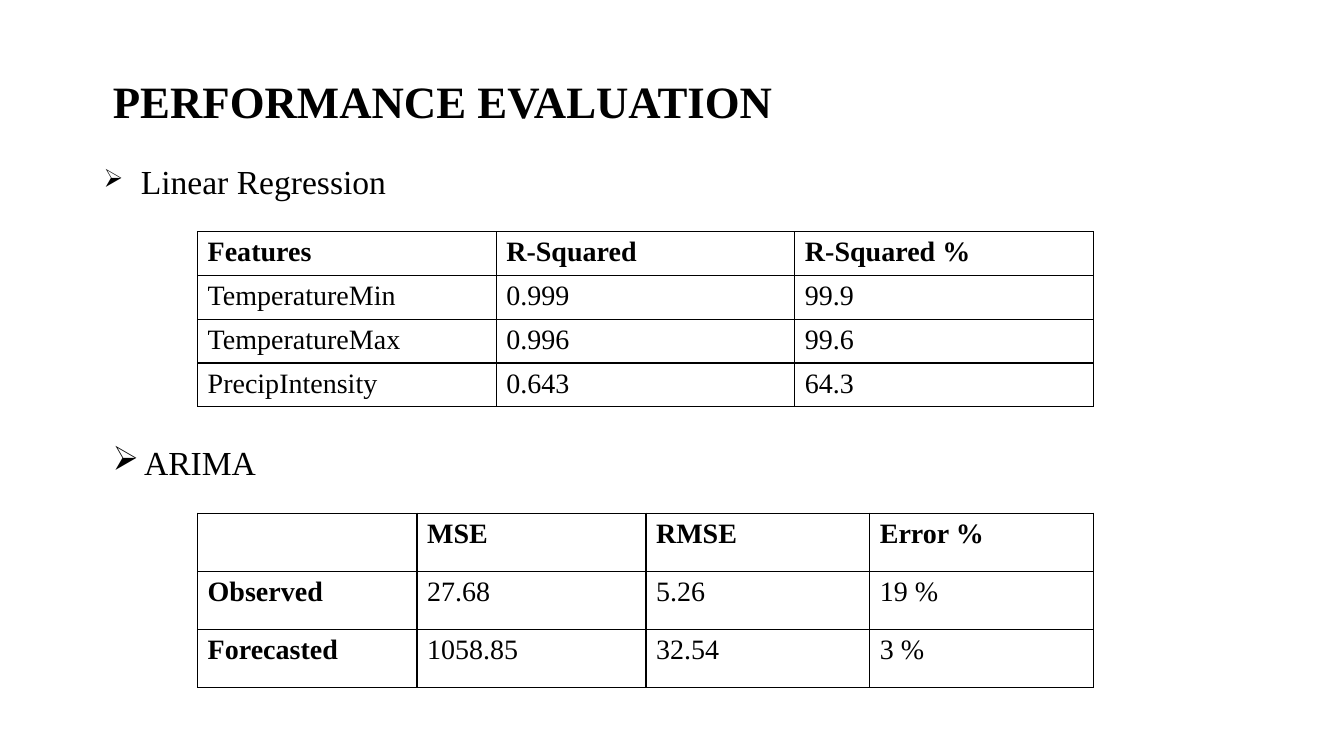
from lxml.etree import SubElement
from pptx import Presentation
from pptx.dml.color import RGBColor
from pptx.enum.text import MSO_ANCHOR, MSO_AUTO_SIZE, PP_ALIGN
from pptx.oxml.ns import qn
from pptx.util import Cm, Pt

INK = "000000"
FACE = "Times New Roman"
TABLE_LEFT, TABLE_WIDTH, TABLE_HEIGHT = 4.98, 22.58, 4.4

REGRESSION = [
    ["Features", "R-Squared", "R-Squared %"],
    ["TemperatureMin", "0.999", "99.9"],
    ["TemperatureMax", "0.996", "99.6"],
    ["PrecipIntensity", "0.643", "64.3"],
]
ARIMA = [
    ["", "MSE", "RMSE", "Error %"],
    ["Observed", "27.68", "5.26", "19 %"],
    ["Forecasted", "1058.85", "32.54", "3 %"],
]


def color(value):
    return RGBColor.from_string(value)


def apply(target, values):
    for name, value in values.items():
        setattr(target, name, value)


def place(shape, box):
    names = ("left", "top", "width", "height")
    apply(shape, dict(zip(names, map(Cm, box))))


def write(para, text, size, bold=False):
    span = para.add_run()
    span.text = text
    apply(span.font, {"name": FACE, "size": Pt(size), "bold": bold})
    span.font.color.rgb = color(INK)


def add_title(page, box, text):
    title = page.shapes.title
    place(title, box)
    frame = title.text_frame
    apply(frame, {"word_wrap": True, "auto_size": MSO_AUTO_SIZE.NONE,
                  "vertical_anchor": MSO_ANCHOR.MIDDLE})
    para = frame.paragraphs[0]
    para.alignment = PP_ALIGN.LEFT
    write(para, text, 32, True)


def add_heading(page, box, text, indent, bullet_percent):
    frame = page.shapes.add_textbox(*map(Cm, box)).text_frame
    frame.word_wrap = True
    para = frame.paragraphs[0]
    write(para, text, 24)
    layout = para._p.get_or_add_pPr()
    layout.set("marL", str(Cm(indent)))
    layout.set("indent", str(-Cm(indent)))
    SubElement(layout, qn("a:buSzPct"), val=str(bullet_percent * 1000))
    SubElement(layout, qn("a:buChar"), char="➢")


def add_borders(cell):
    properties = cell._tc.get_or_add_tcPr()
    for side in ("lnL", "lnR", "lnT", "lnB"):
        line = SubElement(properties, qn(f"a:{side}"), w=str(Pt(1)))
        fill = SubElement(line, qn("a:solidFill"))
        SubElement(fill, qn("a:srgbClr"), val=INK)


def add_result_table(page, box, rows, widths, bold_first_column=False):
    table = page.shapes.add_table(len(rows), len(widths), *map(Cm, box)).table
    apply(table, {"first_row": False, "horz_banding": False})
    for column, width in zip(table.columns, widths):
        column.width = Cm(width)
    for row_index, values in enumerate(rows):
        table.rows[row_index].height = Cm(box[3] / len(rows))
        for column_index, value in enumerate(values):
            cell = table.cell(row_index, column_index)
            add_borders(cell)
            cell.fill.background()
            if value:
                bold = row_index == 0 or (bold_first_column and column_index == 0)
                write(cell.text_frame.paragraphs[0], value, 20, bold)


def build_evaluation(page):
    add_title(page, (2.59, 1.73, 22.83, 1.63), "PERFORMANCE EVALUATION")
    add_heading(page, (2.36, 3.94, 29.16, 1.27), "Linear Regression", 0.94, 75)
    add_result_table(page, (TABLE_LEFT, 5.84, TABLE_WIDTH, TABLE_HEIGHT),
                     REGRESSION, [TABLE_WIDTH / 3] * 3)
    add_heading(page, (2.59, 11.02, 16.94, 1.27), "ARIMA", 0.79, 100)
    add_result_table(page, (TABLE_LEFT, 12.93, TABLE_WIDTH, TABLE_HEIGHT),
                     ARIMA, [5.53, 5.77, 5.64, 5.64], True)


def main():
    deck = Presentation()
    apply(deck, {"slide_width": Cm(33.87), "slide_height": Cm(19.05)})
    build_evaluation(deck.slides.add_slide(deck.slide_layouts[5]))
    deck.save("out.pptx")


if __name__ == "__main__":
    main()
